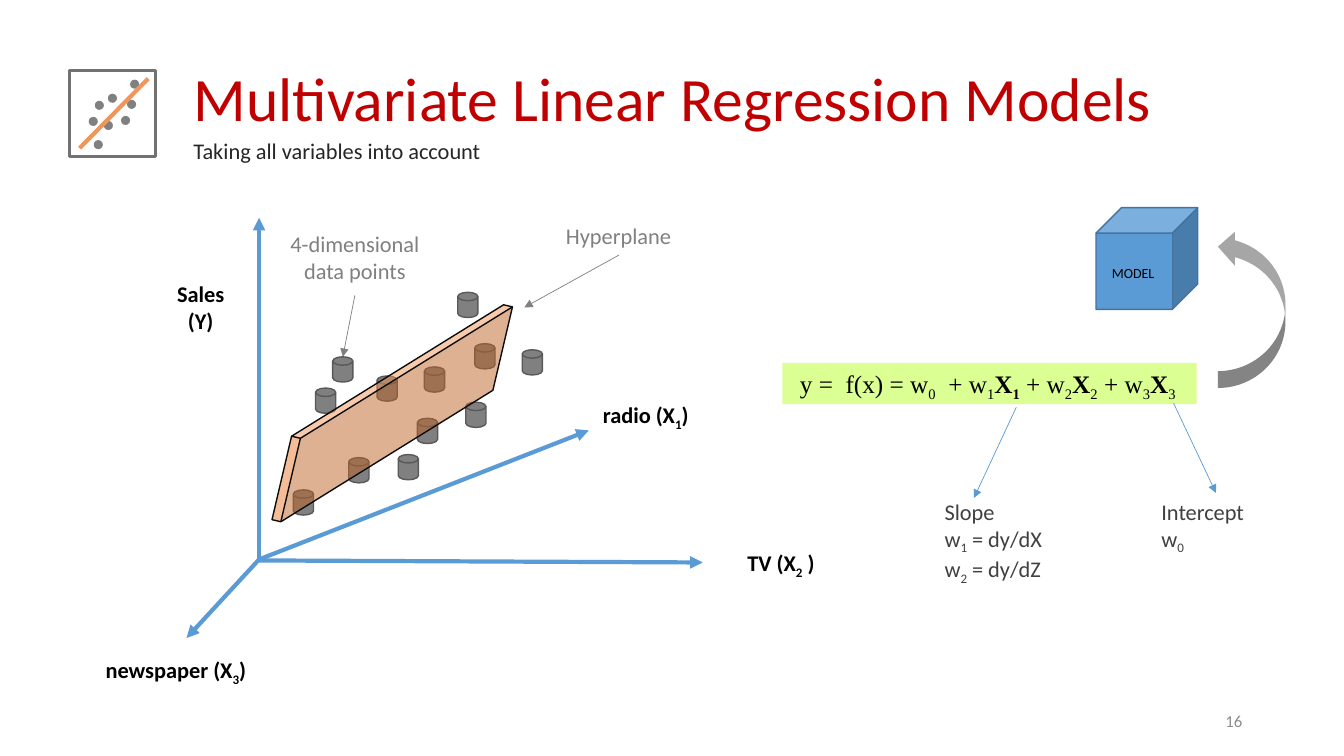
from lxml import etree
from pptx import Presentation
from pptx.dml.color import RGBColor
from pptx.enum.shapes import MSO_CONNECTOR, MSO_SHAPE
from pptx.enum.text import MSO_ANCHOR, MSO_AUTO_SIZE, PP_ALIGN
from pptx.oxml.ns import qn
from pptx.util import Inches, Pt

LEFT, CENTER, RIGHT = PP_ALIGN.LEFT, PP_ALIGN.CENTER, PP_ALIGN.RIGHT
TOP, MIDDLE = MSO_ANCHOR.TOP, MSO_ANCHOR.MIDDLE
RECTANGLE, OVAL, CUBE = MSO_SHAPE.RECTANGLE, MSO_SHAPE.OVAL, MSO_SHAPE.CUBE
DISK, CURVED_ARROW = MSO_SHAPE.FLOWCHART_MAGNETIC_DISK, MSO_SHAPE.CURVED_LEFT_ARROW
STRAIGHT = MSO_CONNECTOR.STRAIGHT
BLUE, GRAY, DARK, BLACK = "5B9BD5", "808080", "404040", "000000"
PLAIN, BOLD, SUB, BOLD_SUB = "", "b", "s", "bs"
color = RGBColor.from_string


def add_shape(container, kind, box, fill=None, line=None, line_width=1, opacity=100):
    shape = container.add_shape(kind, *[Inches(value) for value in box])
    shape.shadow.inherit = False
    if fill:
        shape.fill.solid()
        shape.fill.fore_color.rgb = color(fill)
        if opacity < 100:
            solid = shape._element.spPr.find(qn("a:solidFill"))
            etree.SubElement(solid[0], qn("a:alpha"), val=str(opacity * 1000))
    else:
        shape.fill.background()
    if line:
        shape.line.color.rgb = color(line)
        shape.line.width = Pt(line_width)
    else:
        shape.line.fill.background()
    return shape


def write(shape, lines, size, ink, align=LEFT, anchor=TOP, font="Calibri", spacing=1, before=0):
    frame = shape.text_frame
    frame.word_wrap = True
    frame.auto_size = MSO_AUTO_SIZE.NONE
    frame.vertical_anchor = anchor
    for index, line in enumerate(lines):
        paragraph = frame.add_paragraph() if index else frame.paragraphs[0]
        paragraph.alignment = align
        paragraph.line_spacing = spacing
        paragraph.space_before = Pt(before)
        for text, style in line:
            run = paragraph.add_run()
            run.text = text
            run.font.name = font
            run.font.size = Pt(size)
            run.font.bold = "b" in style
            run.font.color.rgb = color(ink)
            if "s" in style:
                run.font._element.set("baseline", "-25000")


presentation = Presentation()
presentation.slide_width = Inches(13.33)
presentation.slide_height = Inches(7.5)
slide = presentation.slides.add_slide(presentation.slide_layouts[5])
shapes = slide.shapes

title = shapes.title
title.left, title.top = Inches(1.82), Inches(0.28)
title.width, title.height = Inches(9.78), Inches(1.45)
write(title, [[("Multivariate Linear Regression Models", PLAIN)]], 44, "C00000",
      anchor=MIDDLE, spacing=0.9)

icon = shapes.add_group_shape().shapes
add_shape(icon, RECTANGLE, (0.69, 0.7, 0.85, 0.85), line="727272", line_width=2.25)
icon_dots = [(0.94, 1), (1.07, 0.93), (0.88, 1.16), (1.29, 0.79),
             (0.93, 1.39), (1.03, 1.2), (1.2, 1.15), (1.26, 0.99)]
for left, top in icon_dots:
    add_shape(icon, OVAL, (left, top, 0.09, 0.09), GRAY)

model = shapes.add_group_shape().shapes
add_shape(model, CUBE, (10.87, 2.06, 1.01, 1.01), BLUE, "43739E")

equation = add_shape(shapes, RECTANGLE, (7.76, 3.6, 4.11, 0.41), "CCFF66", opacity=70)
write(equation, [[
    ("y =  f(x) = w", PLAIN), ("0", SUB),
    ("  + w", PLAIN), ("1", SUB), ("X", BOLD), ("1", BOLD_SUB),
    (" + w", PLAIN), ("2", SUB), ("X", BOLD), ("2", SUB),
    (" + w", PLAIN), ("3", SUB), ("X", BOLD), ("3 ", SUB),
]], 18, BLACK, CENTER, font="Times New Roman")

feedback_arrow = add_shape(shapes, CURVED_ARROW, (12.08, 2.28, 0.67, 1.57), "A6A6A6")
feedback_arrow._element.spPr.find(qn("a:xfrm")).set("flipV", "1")

connectors = [
    (icon, (0.79, 1.47), (1.47, 0.78), "F19659", 3, False),
    (shapes, (2.57, 5.57), (2.57, 2.16), BLUE, 3, True),
    (shapes, (2.57, 5.56), (6.97, 5.58), BLUE, 3, True),
    (shapes, (2.57, 5.55), (5.84, 4.27), BLUE, 3, True),
    (shapes, (2.57, 5.55), (1.85, 6.33), BLUE, 3, True),
    (shapes, (10.08, 4.04), (9.66, 4.94), BLUE, 0.5, True),
    (shapes, (11.64, 4), (12.06, 4.89), BLUE, 0.5, True),
    (shapes, (6.14, 2.53), (5.2, 3.05), GRAY, 0.5, True),
    (shapes, (3.52, 2.93), (3.4, 3.54), GRAY, 0.5, True),
]
for container, start, end, ink, width, has_arrow in connectors:
    connector = container.add_connector(STRAIGHT, *[Inches(value) for value in start + end])
    connector.line.color.rgb = color(ink)
    connector.line.width = Pt(width)
    properties = connector._element.spPr
    if has_arrow:
        etree.SubElement(properties.find(qn("a:ln")), qn("a:tailEnd"), type="triangle")
    etree.SubElement(properties, qn("a:effectLst"))

data_points = [(5.18, 3.47), (3.3, 3.54), (3.95, 4.51), (4.62, 3.99), (4.21, 3.64), (3.13, 3.85),
               (4.71, 3.41), (4.54, 2.9), (4.14, 4.15), (3.46, 4.54), (2.91, 4.86), (3.74, 3.73)]
for left, top in data_points:
    add_shape(shapes, DISK, (left, top, 0.2, 0.25), GRAY, "595959")

hyperplane = add_shape(shapes, CUBE, (2.97, 2.8, 1.84, 2.6), "ED7D31", "0D0D0D", opacity=50)
hyperplane.adjustments[0] = 0.951
hyperplane.rotation = 13.2

axis_labels = [
    ((6.97, 5.41, 1.55, 0.34), "TV (X", "2", " )"),
    ((5.02, 3.94, 2.77, 0.34), "radio (X", "1", ")"),
    ((0.36, 6.47, 2.77, 0.34), "newspaper (X", "3", ")"),
]
for box, name, index, closing in axis_labels:
    label = shapes.add_textbox(*[Inches(value) for value in box])
    write(label, [[(name, BOLD), (index, BOLD_SUB), (closing, BOLD)]], 16, BLACK, CENTER,
          spacing=0.89, before=3.5)

slope = [[("Slope", PLAIN)],
         [("w", PLAIN), ("1", SUB), (" = dy/dX", PLAIN)],
         [("w", PLAIN), ("2", SUB), (" = dy/dZ", PLAIN)]]
intercept = [[("Intercept", PLAIN)], [("w", PLAIN), ("0", SUB)]]
texts = [
    (shapes, (1.82, 1.29, 4.91, 0.4), [[("Taking all variables into account", PLAIN)]],
     16, "262626", LEFT, MIDDLE),
    (model, (10.93, 2.58, 0.71, 0.27), [[("MODEL", PLAIN)]], 10, BLACK, LEFT, TOP),
    (shapes, (1.57, 2.73, 0.84, 0.64), [[("Sales", BOLD)], [("(Y)", BOLD)]],
     16, BLACK, CENTER, TOP),
    (shapes, (9.27, 4.89, 1.6, 1.45), slope, 16, DARK, LEFT, TOP),
    (shapes, (11.42, 4.89, 1.29, 0.64), intercept, 16, DARK, LEFT, TOP),
    (shapes, (5.06, 2.14, 2.15, 0.4), [[("Hyperplane", PLAIN)]], 16, GRAY, CENTER, MIDDLE),
    (shapes, (2.7, 2.35, 1.64, 0.4), [[("4-dimensional data points", PLAIN)]],
     16, GRAY, CENTER, MIDDLE),
    (shapes, (9.42, 6.95, 3, 0.4), [[("16", PLAIN)]], 12, "8C8C8C", RIGHT, MIDDLE),
]
for container, box, lines, size, ink, align, anchor in texts:
    text_box = container.add_textbox(*[Inches(value) for value in box])
    write(text_box, lines, size, ink, align, anchor)

presentation.save("out.pptx")
